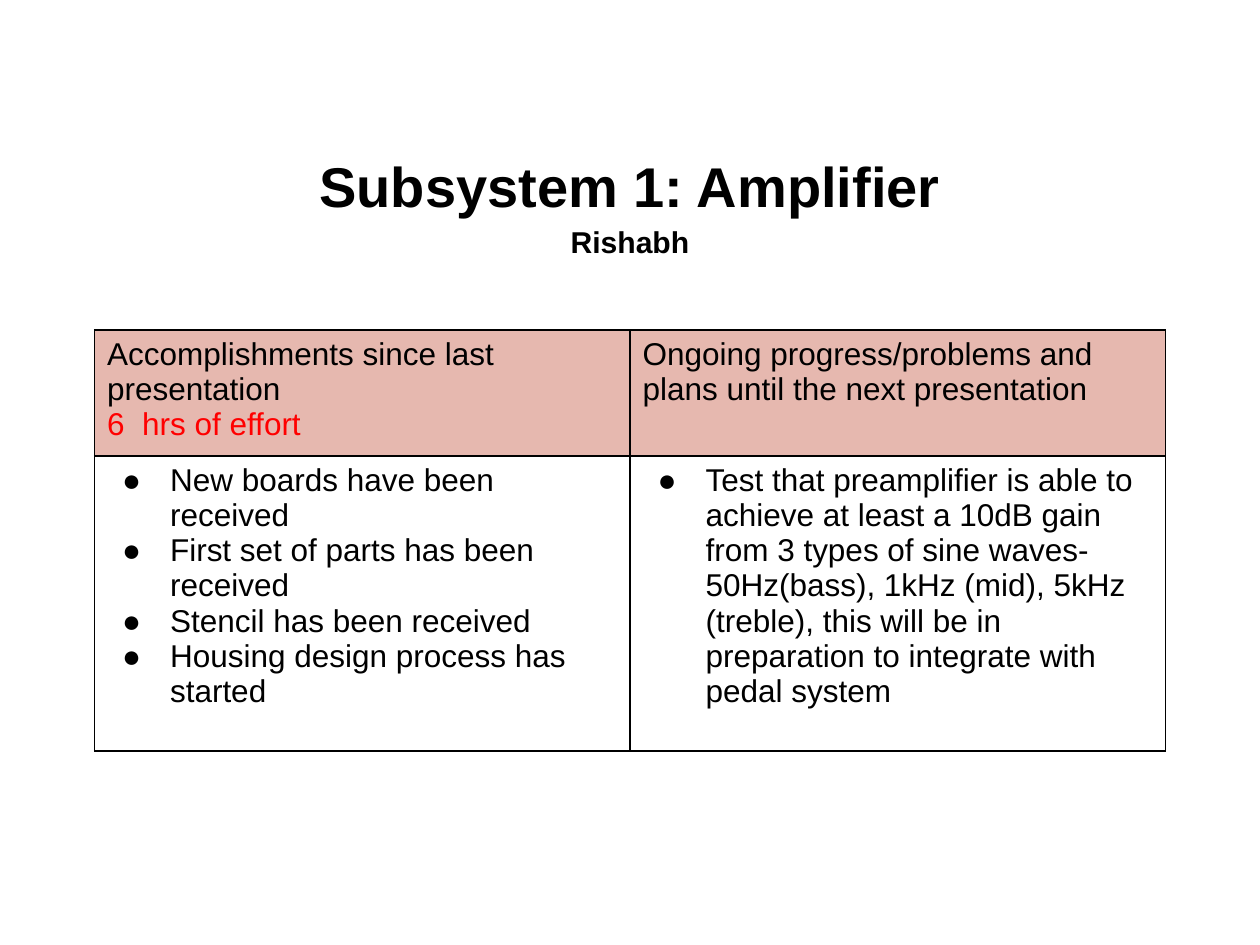
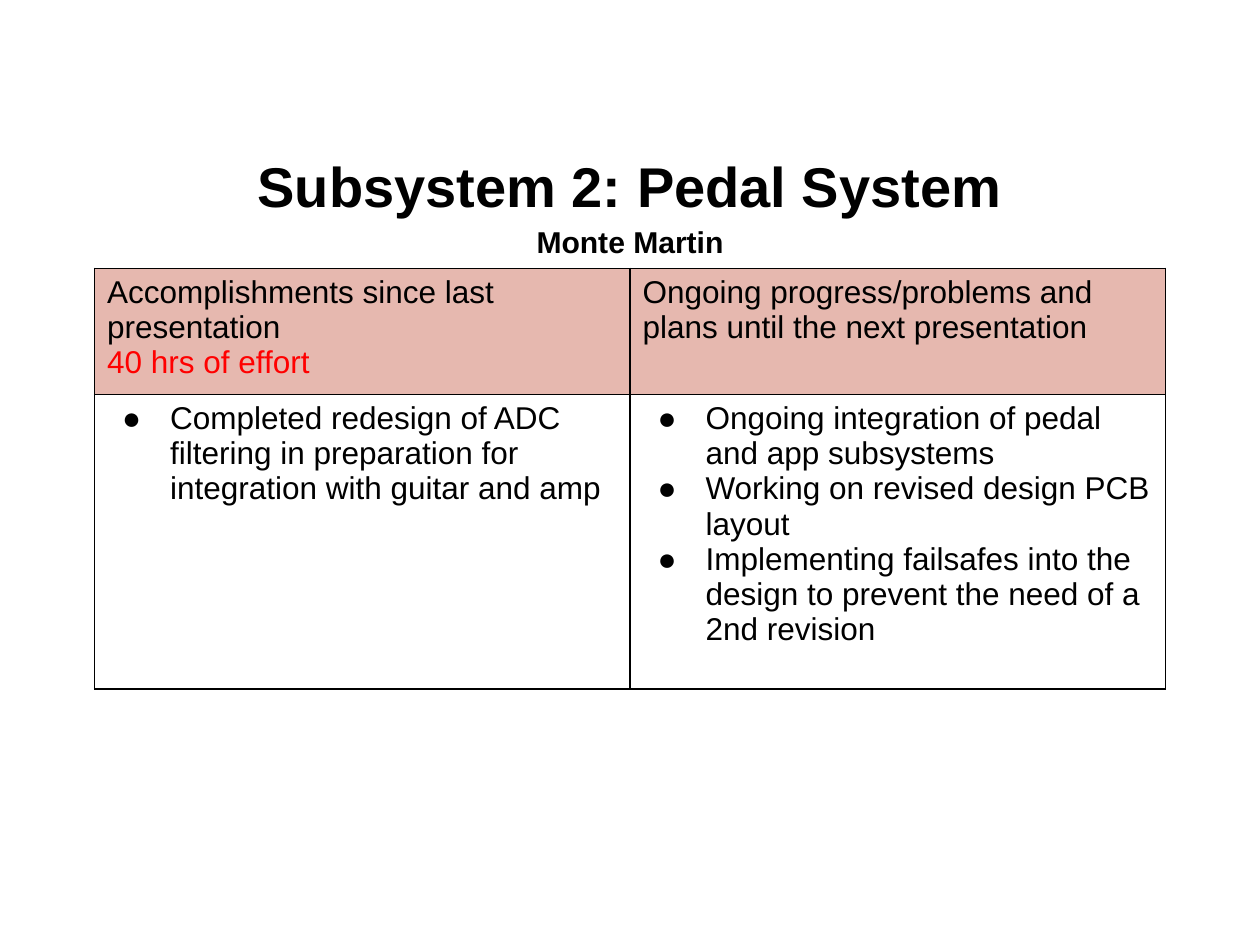
from lxml.etree import SubElement
from pptx import Presentation
from pptx.dml.color import RGBColor
from pptx.enum.text import MSO_ANCHOR, PP_ALIGN
from pptx.oxml.ns import qn
from pptx.util import Inches, Pt

PX = Inches(1) // 100  # 100 px to the inch

BLACK = RGBColor(0x00, 0x00, 0x00)
RED = RGBColor(0xFF, 0x00, 0x00)
ROSE = RGBColor(0xE6, 0xB8, 0xAF)

DONE_HEADING = "Accomplishments since last presentation"
PLANS_HEADING = "Ongoing progress/problems and plans until the next presentation"

SUBSYSTEMS = [
    {
        "title": "Subsystem 1: Amplifier",
        "owner": "Rishabh",
        "effort": "6  hrs of effort",
        "table_top": 262,
        "done": [
            "New boards have been received",
            "First set of parts has been received",
            "Stencil has been received",
            "Housing design process has started",
        ],
        "plans": [
            "Test that preamplifier is able to achieve at least a 10dB gain "
            "from 3 types of sine waves- 50Hz(bass), 1kHz (mid), 5kHz (treble), "
            "this will be in preparation to integrate with pedal system",
        ],
    },
    {
        "title": "Subsystem 2: Pedal System",
        "owner": "Monte Martin",
        "effort": "40 hrs of effort",
        "table_top": 213,
        "done": [
            "Completed redesign of ADC filtering in preparation for "
            "integration with guitar and amp",
        ],
        "plans": [
            "Ongoing integration of pedal and app subsystems",
            "Working on revised design PCB layout",
            "Implementing failsafes into the design to prevent the need of "
            "a 2nd revision",
        ],
    },
]


class StatusDeck:
    font = "Arial"
    title_size, owner_size, body_size = 32, 17.2, 18
    column_width = 425
    row_heights = (94, 234)
    bullet_indent, bullet_hang = 50, 38

    def __init__(self):
        self.prs = Presentation()
        self.prs.slide_width, self.prs.slide_height = 1000 * PX, 750 * PX
        self.slide = None

    def new_slide(self):
        self.slide = self.prs.slides.add_slide(self.prs.slide_layouts[6])

    def style(self, paragraph, size, color=BLACK, bold=False):
        for run in paragraph.runs:
            run.font.name = self.font
            run.font.size = Pt(size)
            run.font.bold = bold
            run.font.color.rgb = color

    def heading(self, title, owner):
        box = self.slide.shapes.add_textbox(50 * PX, 115 * PX, 900 * PX, 88 * PX)
        frame = box.text_frame
        frame.word_wrap = True
        frame.vertical_anchor = MSO_ANCHOR.MIDDLE
        frame.text = f"{title}\n{owner}"
        for line, size in zip(frame.paragraphs, (self.title_size, self.owner_size)):
            line.alignment = PP_ALIGN.CENTER
            line.line_spacing = 1.15
            self.style(line, size, bold=True)

    def border(self, cell):
        properties = cell._tc.get_or_add_tcPr()
        for side in ("lnL", "lnR", "lnT", "lnB"):
            edge = SubElement(properties, qn(f"a:{side}"), w=str(Pt(1)))
            fill = SubElement(edge, qn("a:solidFill"))
            SubElement(fill, qn("a:srgbClr"), val=str(BLACK))

    def bullet(self, paragraph):
        properties = paragraph._p.get_or_add_pPr()
        properties.set("marL", str(self.bullet_indent * PX))
        properties.set("indent", str(-self.bullet_hang * PX))
        color = SubElement(properties, qn("a:buClr"))
        SubElement(color, qn("a:srgbClr"), val=str(BLACK))
        SubElement(properties, qn("a:buFont"), typeface=self.font)
        SubElement(properties, qn("a:buChar"), char="●")

    def cell(self, cell, lines, fill=None, bulleted=False):
        self.border(cell)
        if fill is None:
            cell.fill.background()
        else:
            cell.fill.solid()
            cell.fill.fore_color.rgb = fill
        cell.text_frame.text = "\n".join(lines)
        for paragraph in cell.text_frame.paragraphs:
            if bulleted:
                self.bullet(paragraph)
            self.style(paragraph, self.body_size)

    def status_table(self, top, effort, done, plans):
        table = self.slide.shapes.add_table(
            2, 2, 75 * PX, top * PX,
            2 * self.column_width * PX, sum(self.row_heights) * PX,
        ).table
        table.first_row = table.horz_banding = False
        for column in table.columns:
            column.width = self.column_width * PX
        for row, height in zip(table.rows, self.row_heights):
            row.height = height * PX

        # Header row, with the effort in red
        self.cell(table.cell(0, 0), [DONE_HEADING, effort], fill=ROSE)
        self.cell(table.cell(0, 1), [PLANS_HEADING], fill=ROSE)
        effort_line = table.cell(0, 0).text_frame.paragraphs[1]
        self.style(effort_line, self.body_size, RED)

        # Bulleted row
        for index, points in enumerate((done, plans)):
            self.cell(table.cell(1, index), points, bulleted=True)


def main():
    deck = StatusDeck()
    for subsystem in SUBSYSTEMS:
        deck.new_slide()
        deck.heading(subsystem["title"], subsystem["owner"])
        deck.status_table(subsystem["table_top"], subsystem["effort"],
                          subsystem["done"], subsystem["plans"])
    deck.prs.save("out.pptx")


if __name__ == "__main__":
    main()
